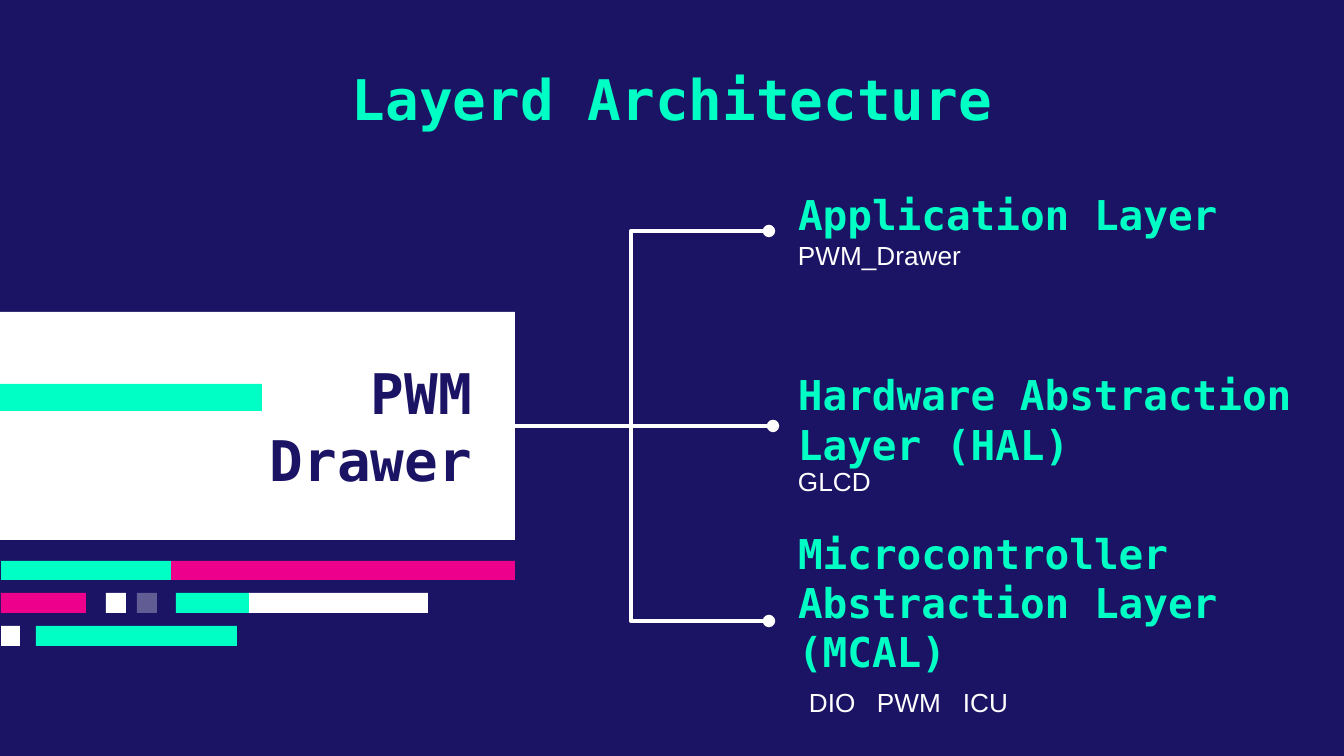
from lxml.etree import SubElement
from pptx import Presentation
from pptx.dml.color import RGBColor
from pptx.enum.shapes import MSO_CONNECTOR, MSO_SHAPE
from pptx.enum.text import MSO_ANCHOR, MSO_AUTO_SIZE, PP_ALIGN
from pptx.oxml import parse_xml
from pptx.oxml.ns import nsdecls, qn
from pptx.util import Emu, Pt

COLORS = {"navy": "1B1464", "mint": "00FFC5", "pink": "EC008C", "white": "FFFFFF"}
HEADING_FONT = "DejaVu Sans Mono"
EMU_PER_PX = 914400 / 134.4


def px(*lengths):
    """Turn pixel lengths into a list of EMU."""
    return [Emu(round(length * EMU_PER_PX)) for length in lengths]


def write_text(shape, text, size, color, font=HEADING_FONT, align=PP_ALIGN.LEFT,
               anchor=MSO_ANCHOR.MIDDLE, inset=0):
    """Fill a shape with one paragraph and return that paragraph."""
    frame = shape.text_frame
    frame.word_wrap = True
    frame.auto_size = MSO_AUTO_SIZE.NONE
    frame.vertical_anchor = anchor
    frame.margin_left, frame.margin_right = px(13, 13)
    frame.margin_top, frame.margin_bottom = px(inset, inset)
    paragraph = frame.paragraphs[0]
    paragraph.text = text
    paragraph.alignment = align
    paragraph.font.name = font
    paragraph.font.size = Pt(size)
    paragraph.font.bold = font == HEADING_FONT
    paragraph.font.color.rgb = RGBColor.from_string(COLORS[color])
    return paragraph


presentation = Presentation()
presentation.slide_width, presentation.slide_height = px(1344, 756)
slide = presentation.slides.add_slide(presentation.slide_layouts[5])
slide.background.fill.solid()
slide.background.fill.fore_color.rgb = RGBColor.from_string(COLORS["navy"])

title = slide.shapes.title
title.left, title.top, title.width, title.height = px(188, 51, 968, 98)
write_text(title, "Layerd Architecture", 30, "mint", align=PP_ALIGN.CENTER,
           anchor=MSO_ANCHOR.TOP, inset=13)

# White panel, its accent bar and the decorative bars below
bars = [
    (0, 312, 515, 228, "white", 100),
    (0, 384, 262, 27, "mint", 100),
    (171, 561, 344, 19, "pink", 100),
    (1, 561, 170, 19, "mint", 100),
    (249, 593, 179, 20, "white", 100),
    (176, 593, 73, 20, "mint", 100),
    (1, 593, 85, 20, "pink", 100),
    (137, 593, 20, 20, "white", 31),
    (106, 593, 20, 20, "white", 100),
    (1, 626, 19, 20, "white", 100),
    (36, 626, 201, 20, "mint", 100),
]
for left, top, width, height, color, opacity in bars:
    bar = slide.shapes.add_shape(MSO_SHAPE.RECTANGLE, *px(left, top, width, height))
    bar.shadow.inherit = False
    bar.line.fill.background()
    bar.fill.solid()
    bar.fill.fore_color.rgb = RGBColor.from_string(COLORS[color])
    if opacity < 100:
        color_element = bar._element.spPr.find(".//" + qn("a:srgbClr"))
        SubElement(color_element, qn("a:alpha"), val=str(opacity * 1000))

panel_label = slide.shapes.add_textbox(*px(128, 397, 357, 58))
write_text(panel_label, "PWM Drawer", 30, "navy", align=PP_ALIGN.RIGHT)

# Layers: heading top and width, then detail left and top
layers = [
    ("Application Layer", 194, 468, "PWM_Drawer", 785, 235),
    ("Hardware Abstraction Layer (HAL)", 399, 543, "GLCD", 785, 461),
    ("Microcontroller Abstraction Layer (MCAL)", 582, 528, "DIO\tPWM\tICU", 796, 682),
]
for heading, heading_top, heading_width, detail, detail_left, detail_top in layers:
    heading_box = slide.shapes.add_textbox(*px(785, heading_top, heading_width, 40))
    write_text(heading_box, heading, 22, "mint")
    detail_box = slide.shapes.add_textbox(*px(detail_left, detail_top, 396, 40))
    paragraph = write_text(detail_box, detail, 14, "white", font="Arial",
                           anchor=MSO_ANCHOR.TOP)
    paragraph.line_spacing = 1.15
    if "\t" in detail:
        tab_list = parse_xml(f"<a:tabLst {nsdecls('a')}/>")
        for position in px(68, 154):
            SubElement(tab_list, qn("a:tab"), pos=str(position), algn="l")
        paragraph._p.get_or_add_pPr().insert(1, tab_list)

# Branches from the panel to each layer
branches = [
    (MSO_CONNECTOR.ELBOW, 493, 769, 231),
    (MSO_CONNECTOR.STRAIGHT, 550, 773, 426),
    (MSO_CONNECTOR.ELBOW, 493, 769, 621),
]
for kind, start_x, end_x, end_y in branches:
    branch = slide.shapes.add_connector(kind, *px(start_x, 426, end_x, end_y))
    branch.line.color.rgb = RGBColor.from_string(COLORS["white"])
    branch.line.width = Pt(2.25)
    SubElement(branch.line._get_or_add_ln(), qn("a:tailEnd"), type="oval")
    SubElement(branch._element.spPr, qn("a:effectLst"))

presentation.save("out.pptx")
